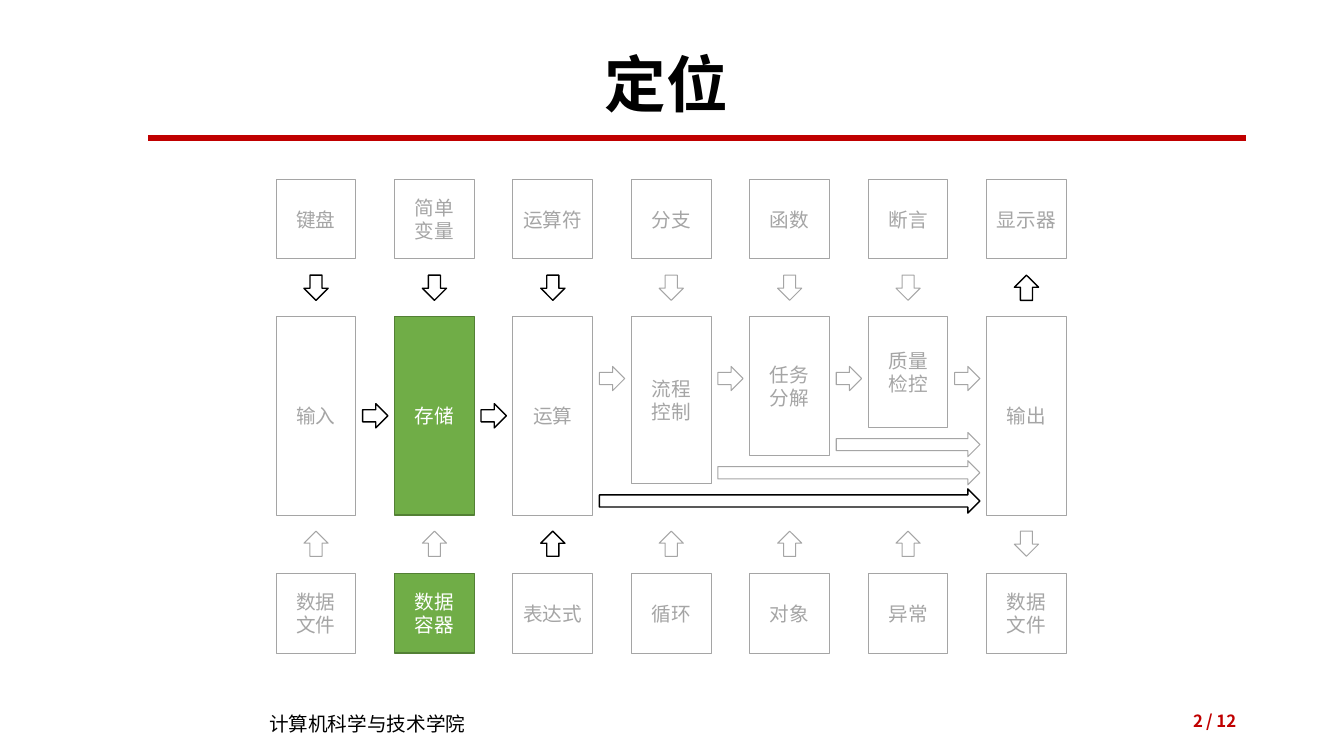
from dataclasses import dataclass

import lxml.etree
import pptx
import pptx.dml.color
import pptx.enum.shapes
import pptx.enum.text
import pptx.oxml.ns
import pptx.util

RGB = pptx.dml.color.RGBColor
SHAPE = pptx.enum.shapes.MSO_SHAPE
ALIGN = pptx.enum.text.PP_ALIGN
ANCHOR = pptx.enum.text.MSO_ANCHOR

BLACK = RGB(0x00, 0x00, 0x00)
WHITE = RGB(0xFF, 0xFF, 0xFF)
GRAY = RGB(0xA5, 0xA5, 0xA5)
RED = RGB(0xC0, 0x00, 0x00)
GREEN = RGB(0x70, 0xAD, 0x47)
DARK_GREEN = RGB(0x53, 0x80, 0x35)
CJK = "Noto Sans CJK SC"

SLIDE_W = pptx.util.Inches(13.33)
SLIDE_H = pptx.util.Inches(7.5)

# Percentages of the slide's width and height.
GRID_LEFT, PITCH, CELL_W, CELL_H = 20.55, 8.81, 5.93, 10.53
TOP_ROW, MIDDLE_ROW, BOTTOM_ROW = 23.73, 41.87, 75.87
TALL_H, STEP_H = 26.27, 3.73
FIRST_STEP_BOTTOM, FIRST_BYPASS_Y = 64.0, 66.27
MAIN_FLOW_Y, UPPER_FLOW_Y = 55.0, 50.07
TOP_ARROW_Y, BOTTOM_ARROW_Y = 38.07, 71.93
VERTICAL_W, VERTICAL_H = 1.8, 3.33
FLOW_W, FLOW_H = 1.88, 3.2
FLOW_GAP = (PITCH - CELL_W - FLOW_W) / 2


@dataclass(frozen=True)
class Area:
    left: float
    top: float
    width: float
    height: float

    def emu(self) -> tuple[int, int, int, int]:
        return (across(self.left), down(self.top),
                across(self.width), down(self.height))


@dataclass(frozen=True)
class Stage:
    source: str
    name: str
    method: str
    top_active: bool = False
    bottom_active: bool = False
    steps: int = -1
    name_lit: bool = False
    method_lit: bool = False
    is_output: bool = False


@dataclass(frozen=True)
class Label:
    text: str
    area: Area
    size: float
    color: RGB
    align: ALIGN
    anchor: ANCHOR = ANCHOR.MIDDLE
    bold: bool = False
    font: str = CJK
    spacing: float = 1.0


STAGES = [
    Stage("键盘", "输入", "数据\n文件", top_active=True),
    Stage("简单\n变量", "存储", "数据\n容器", top_active=True,
          name_lit=True, method_lit=True),
    Stage("运算符", "运算", "表达式", top_active=True, bottom_active=True),
    Stage("分支", "流程\n控制", "循环", steps=0),
    Stage("函数", "任务\n分解", "对象", steps=1),
    Stage("断言", "质量\n检控", "异常", steps=2),
    Stage("显示器", "输出", "数据\n文件", top_active=True, is_output=True),
]
LABELS = [
    Label("计算机科学与技术学院", Area(19.28, 93.47, 21.9, 4.53), 14, BLACK,
          ALIGN.LEFT, ANCHOR.TOP),
    Label("/ 12", Area(87.1, 92.67, 5.63, 5.33), 12, RED, ALIGN.RIGHT, bold=True),
    Label("定位", Area(6.45, 5.33, 86.27, 12.53), 44, BLACK, ALIGN.CENTER,
          bold=True, font="Calibri", spacing=0.9),
    Label("2", Area(70.67, 92.67, 19.58, 5.33), 12, RED, ALIGN.RIGHT, bold=True),
]


def across(percent: float) -> int:
    return round(SLIDE_W * percent / 100)


def down(percent: float) -> int:
    return round(SLIDE_H * percent / 100)


def column(i: int) -> float:
    return GRID_LEFT + PITCH * i


def write(tf, text: str, size: float, color: RGB, align: ALIGN,
          bold: bool = False, font: str = CJK, spacing: float = 1.0) -> None:
    tf.word_wrap = True
    tf.text = text
    for p in tf.paragraphs:
        p.alignment = align
        p.line_spacing = spacing
        for r in p.runs:
            r.font.size = pptx.util.Pt(size)
            r.font.bold = bold
            r.font.color.rgb = color
            r.font.name = font
            ea = lxml.etree.SubElement(r.font._element, pptx.oxml.ns.qn("a:ea"))
            ea.set("typeface", CJK)


def add_label(s, label: Label) -> None:
    tf = s.shapes.add_textbox(*label.area.emu()).text_frame
    write(tf, label.text, label.size, label.color, label.align,
          label.bold, label.font, label.spacing)
    tf.vertical_anchor = label.anchor


def add_outline(s, kind: SHAPE, area: Area, line: RGB, width: float,
                fill: RGB | None):
    sp = s.shapes.add_shape(kind, *area.emu())
    sp.shadow.inherit = False
    sp.line.color.rgb = line
    sp.line.width = pptx.util.Pt(width)
    if fill is None:
        sp.fill.background()
    else:
        sp.fill.solid()
        sp.fill.fore_color.rgb = fill
    return sp


def add_box(s, text: str, area: Area, lit: bool = False) -> None:
    line, width, fill = (DARK_GREEN, 1, GREEN) if lit else (GRAY, 0.75, None)
    sp = add_outline(s, SHAPE.RECTANGLE, area, line, width, fill)
    write(sp.text_frame, text, 14, WHITE if lit else GRAY, ALIGN.CENTER)
    sp.text_frame.vertical_anchor = ANCHOR.MIDDLE


def add_arrow(s, kind: SHAPE, area: Area, active: bool) -> None:
    line, width, fill = (BLACK, 1, WHITE) if active else (GRAY, 0.75, None)
    add_outline(s, kind, area, line, width, fill)


def add_vertical_arrow(s, i: int, y: float, upward: bool, active: bool) -> None:
    area = Area(column(i) + (CELL_W - VERTICAL_W) / 2, y - VERTICAL_H / 2,
                VERTICAL_W, VERTICAL_H)
    add_arrow(s, SHAPE.UP_ARROW if upward else SHAPE.DOWN_ARROW, area, active)


def add_flow_arrow(s, start: int, end: int, y: float, active: bool) -> None:
    left = column(start) + CELL_W + FLOW_GAP
    area = Area(left, y - FLOW_H / 2, column(end) - FLOW_GAP - left, FLOW_H)
    add_arrow(s, SHAPE.RIGHT_ARROW, area, active)


def add_stage(s, i: int, stage: Stage) -> None:
    x = column(i)
    height = TALL_H
    if stage.steps >= 0:
        height = FIRST_STEP_BOTTOM - STEP_H * stage.steps - MIDDLE_ROW
    add_box(s, stage.source, Area(x, TOP_ROW, CELL_W, CELL_H))
    add_box(s, stage.name, Area(x, MIDDLE_ROW, CELL_W, height), stage.name_lit)
    add_box(s, stage.method, Area(x, BOTTOM_ROW, CELL_W, CELL_H), stage.method_lit)
    add_vertical_arrow(s, i, TOP_ARROW_Y, stage.is_output, stage.top_active)
    add_vertical_arrow(s, i, BOTTOM_ARROW_Y, not stage.is_output, stage.bottom_active)


def add_rule(s) -> None:
    y = down(18.27)
    rule = s.shapes.add_connector(pptx.enum.shapes.MSO_CONNECTOR.STRAIGHT,
                                  across(11.03), y, across(92.72), y)
    rule.line.color.rgb = RED
    rule.line.width = pptx.util.Pt(4.5)
    lxml.etree.SubElement(rule._element.spPr, pptx.oxml.ns.qn("a:effectLst"))


def main() -> None:
    prs = pptx.Presentation()
    prs.slide_width, prs.slide_height = SLIDE_W, SLIDE_H
    s = prs.slides.add_slide(prs.slide_layouts[6])
    add_rule(s)
    for label in LABELS:
        add_label(s, label)
    for i, stage in enumerate(STAGES):
        add_stage(s, i, stage)
    last = len(STAGES) - 1
    for i in range(last):
        main_flow = i < 2
        add_flow_arrow(s, i, i + 1, MAIN_FLOW_Y if main_flow else UPPER_FLOW_Y,
                       main_flow)
    for step in range(3):
        add_flow_arrow(s, step + 2, last, FIRST_BYPASS_Y - STEP_H * step, step == 0)
    prs.save("out.pptx")


if __name__ == "__main__":
    main()
